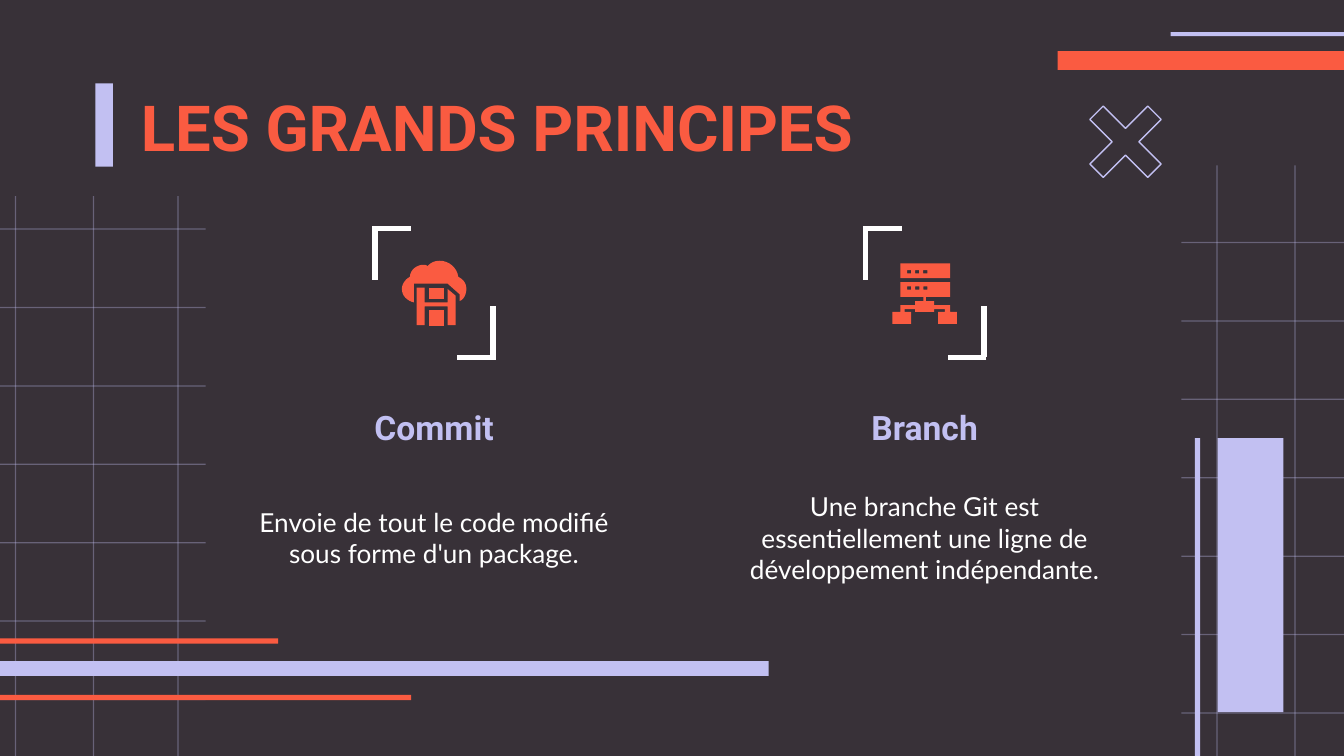
from itertools import product
from lxml.etree import SubElement
from pptx import Presentation
from pptx.dml.color import RGBColor as RGB
from pptx.enum.shapes import MSO_CONNECTOR as LINK, MSO_SHAPE as SHAPE
from pptx.enum.text import MSO_ANCHOR as ANCHOR, PP_ALIGN as ALIGN
from pptx.oxml.ns import qn
from pptx.util import Inches, Pt

WIDE = 10
HIGH = WIDE * 9 / 16
THEME = {
    "dark": "383138", "lilac": "C2C0F2", "coral": "FA5B41", "white": "FFFFFF",
    "head": "Roboto", "body": "Lato", "title": 34, "name": 18, "note": 14,
}

TITLE = "LES GRANDS PRINCIPES"

# Server icon, in hundredths of an inch from its top left corner
HALF = [(24, 36), (17, 36), (17, 34), (9, 34), (9, 36), (14, 36), (14, 45),
        (0, 45), (0, 36), (6, 36), (6, 31), (17, 31), (17, 28), (23, 28),
        (23, 25), (6, 25), (6, 14)]


def box(x, y, w, h):
    return [(x, y), (x, y + h), (x + w, y + h), (x + w, y)]


def dots(y):
    return [box(x, y, 3, 2.5) for x in (11, 17, 23)]


def bend(start, curves, steps=8):
    """Points along a chain of cubic curves, each given as three points."""
    out = [start]
    for b, c, d in curves:
        a = out[-1]
        for n in range(1, steps + 1):
            t = n / steps
            u = 1 - t
            out.append(tuple(u**3 * i + 3 * u * u * t * j + 3 * u * t * t * k + t**3 * m
                             for i, j, k, m in zip(a, b, c, d)))
    return out


NET = HALF + [(48 - x if x != 6 else 43, y) for x, y in reversed(HALF)]
SERVER = [dots(17) + [NET], dots(5) + [box(6, 0, 37, 11)]]

RIM = bend((43, 30), [((46, 29), (48, 25), (48, 21)), ((48, 17), (46, 14), (42, 12)),
                      ((41, 5), (35, 0), (28, 0)), ((25, 0), (22, 1), (19, 4)),
                      ((18, 3), (17, 3), (16, 3)), ((11, 3), (6, 7), (6, 12)),
                      ((2, 14), (0, 18), (0, 21)), ((0, 26), (4, 30), (9, 31))])
CLOUD = [
    [box(20, 20, 11, 8.5)],
    [[(11, 20), (11, 48), (17, 48), (17, 34), (34, 34), (34, 48), (40, 48),
      (40, 26), (34, 21), (34, 31), (17, 31), (17, 20)]],
    [box(20, 37, 11, 11.5)],
    [RIM + [(9, 17), (34, 17), (43, 25)]],
]

# Name, note, icon, icon top, name width, note width
IDEAS = [
    ("Commit", "Envoie de tout le code modifié sous forme d'un package.",
     CLOUD, 1.94, 3.05, 3.05),
    ("Branch", "Une branche Git est essentiellement une ligne de développement indépendante.",
     SERVER, 1.96, 2.82, 3.15),
]
FIRST, PITCH, MID = 3.23, 3.65, 2.18  # first column centre, column step, icon row

# Left, right, top, first row, number of rows, column places
GRIDS = [(8.79, WIDE, 1.23, 1.8, 7, (9.05, 9.63)),
         (0, 1.53, 1.46, 1.7, 7, (0.11, 0.69, 1.32))]
CELL, HAIR = 3.5 / 6, 0.01

BARS = [
    (8.89, 3.26, 0.04, HIGH - 3.26, "lilac"),
    (7.87, 0.38, WIDE - 7.87, 0.14, "coral"),
    (0, 4.92, 5.72, 0.11, "lilac"),
    (0, 5.17, 3.06, 0.04, "coral"),
    (0, 4.75, 2.07, 0.04, "coral"),
    (9.06, 3.26, 0.49, 2.04, "lilac"),
    (8.71, 0.24, WIDE - 8.71, 0.03, "lilac"),
    (0.71, 0.62, 0.13, 0.62, "lilac"),
]


def tint(name):
    return RGB.from_string(THEME[name])


def paint(shape, color, alpha=None):
    shape.shadow.inherit = False
    shape.fill.solid()
    shape.fill.fore_color.rgb = tint(color)
    shape.line.fill.background()
    if alpha:
        tone = shape._element.spPr.find(f".//{qn('a:srgbClr')}")
        SubElement(tone, qn("a:alpha")).set("val", str(alpha * 1000))


def bar(x, y, w, h, color, alpha=None):
    paint(art.add_shape(SHAPE.RECTANGLE, *map(Inches, (x, y, w, h))), color, alpha)


def write(text, x, y, w, h, *, size, font, color, bold=False, align=ALIGN.LEFT):
    frame = art.add_textbox(*map(Inches, (x, y, w, h))).text_frame
    frame.word_wrap = True
    frame.vertical_anchor = ANCHOR.MIDDLE
    frame.margin_left = frame.margin_right = Inches(0.1)
    frame.margin_top = frame.margin_bottom = Inches(0.1)
    par = frame.paragraphs[0]
    par.alignment = align
    run = par.add_run()
    run.text = text
    run.font.size, run.font.name, run.font.bold = Pt(THEME[size]), THEME[font], bold
    run.font.color.rgb = tint(color)


def stroke(*ends):
    line = art.add_connector(LINK.STRAIGHT, *map(Inches, ends))
    line.line.color.rgb = tint("white")
    line.line.width = Pt(3)
    SubElement(line._element.spPr, qn("a:effectLst"))


def draw(icon, left, top):
    for loops in icon:
        pen = None
        for loop in loops:
            first, *rest = [(Inches(left + x / 100), Inches(top + y / 100)) for x, y in loop]
            if pen:
                pen.move_to(*first)
            else:
                pen = art.build_freeform(*first)
            pen.add_line_segments(rest, close=True)
        paint(pen.convert_to_shape(), "coral")


deck = Presentation()
deck.slide_width, deck.slide_height = Inches(WIDE), Inches(HIGH)
slide = deck.slides.add_slide(deck.slide_layouts[6])
slide.background.fill.solid()
slide.background.fill.fore_color.rgb = tint("dark")
art = slide.shapes

for left, right, top, row, count, cols in GRIDS:
    for n in range(count):
        bar(left, row + n * CELL, right - left, HAIR, "lilac", 35)
    for x in cols:
        bar(x, top, HAIR, HIGH - top, "lilac", 35)
for item in BARS:
    bar(*item)

write(TITLE, 0.95, 0.59, 8.08, 0.69, size="title", font="head", color="coral", bold=True)

for n, (name, note, icon, top, span, room) in enumerate(IDEAS):
    mid = FIRST + n * PITCH
    write(name, mid - span / 2, 3.02, span, 0.31, size="name", font="head",
          color="lilac", bold=True, align=ALIGN.CENTER)
    write(note, mid - room / 2, 3.42, room, 1.16, size="note", font="body",
          color="white", align=ALIGN.CENTER)
    for side, (a, b, c, d) in product((-1, 1), [(0.44, 0.1, 0.44, 0.48),
                                                (0.46, 0.48, 0.17, 0.48)]):
        stroke(mid + side * a, MID + side * b, mid + side * c, MID + side * d)
    draw(icon, mid - 0.24, top)

cross = art.add_shape(SHAPE.MATH_MULTIPLY, *map(Inches, (7.96, 0.64, 0.83, 0.83)))
cross.shadow.inherit = False
cross.adjustments[0] = 0.17
cross.fill.background()
cross.line.color.rgb = tint("lilac")
cross.line.width = Pt(0.75)

deck.save("out.pptx")
